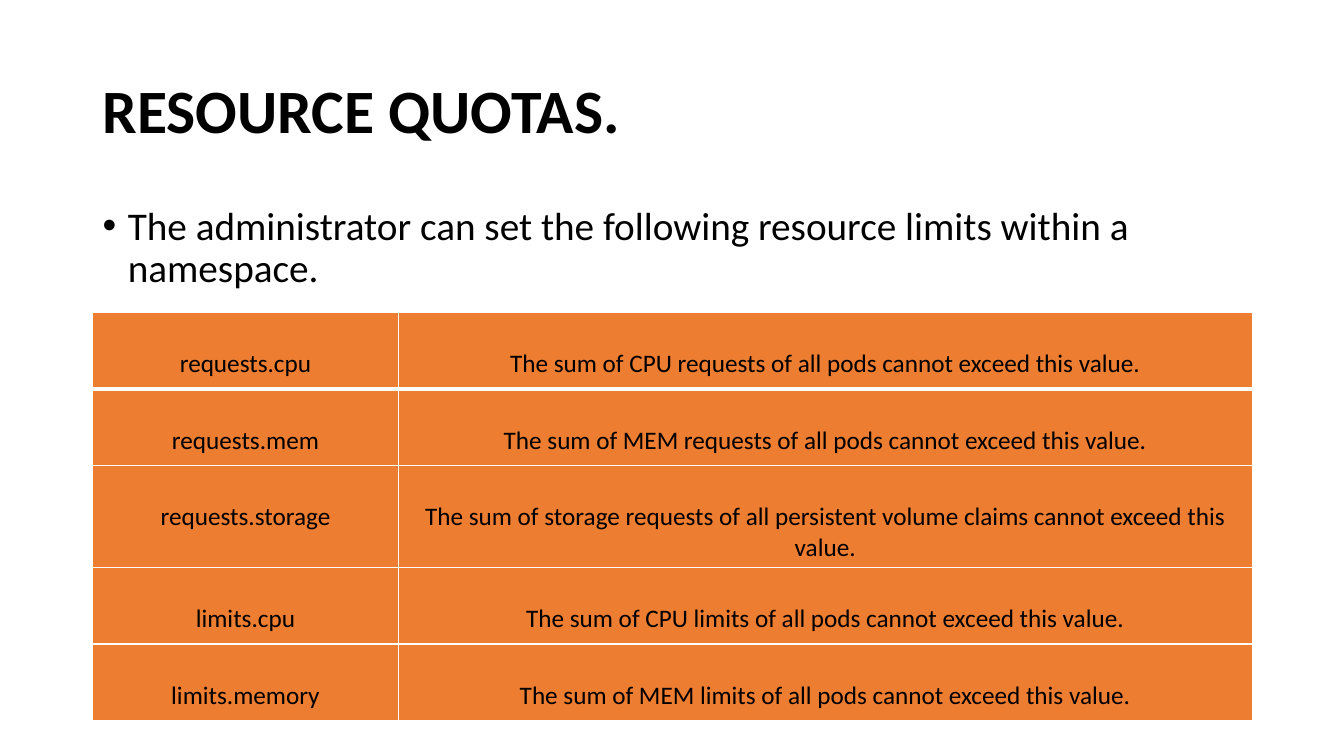
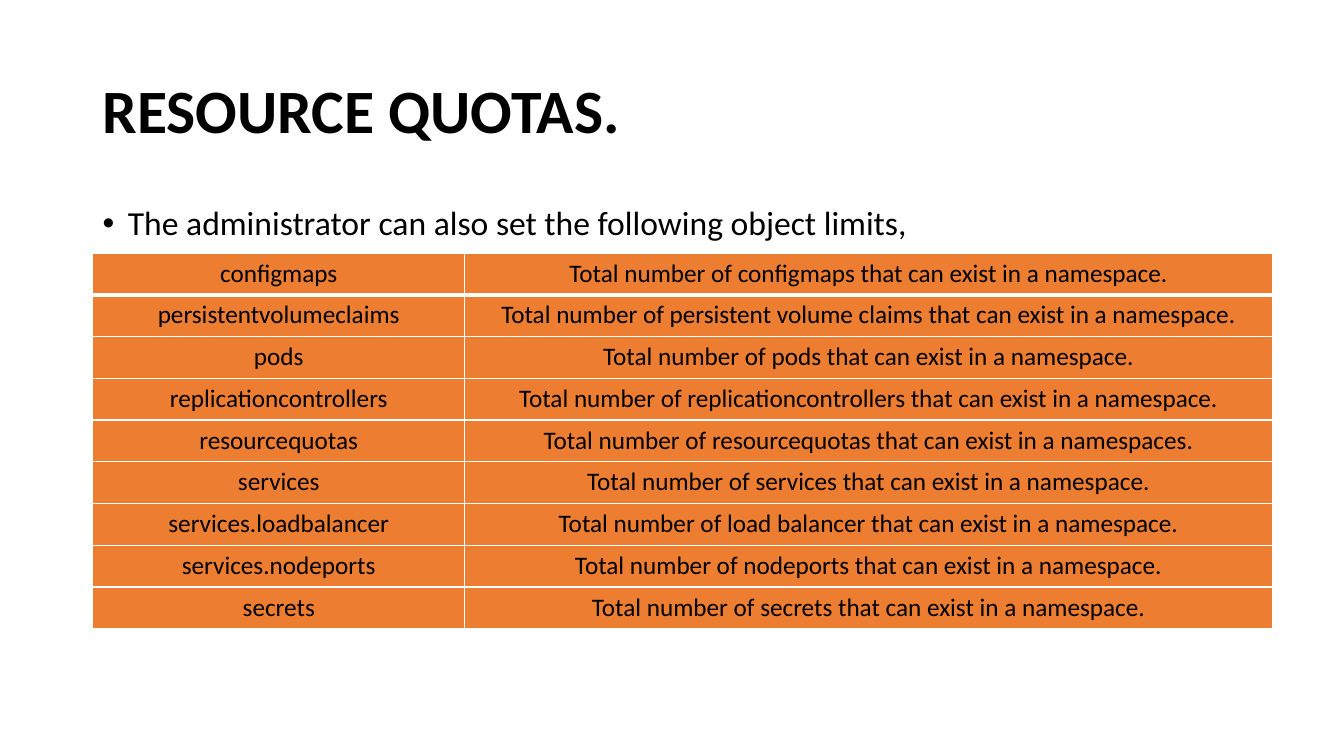
from lxml import etree
from pptx import Presentation, util as u
from pptx.dml.color import RGBColor
from pptx.enum import text
from pptx.oxml.ns import qn

BLACK = RGBColor(0x00, 0x00, 0x00)
WHITE = RGBColor(0xFF, 0xFF, 0xFF)
ORANGE = RGBColor(0xED, 0x7D, 0x31)
FONT = "Calibri"

TITLE = "RESOURCE QUOTAS."
LEFT, WIDTH = 0.92, 11.5
TITLE_TOP, TITLE_HEIGHT = 0.4, 1.45
BODY_TOP, BODY_HEIGHT = 2, 4.76
CELL_MARGIN = 0.05
THIN, THICK = 1, 3

SLIDES = [
    {
        "lead": "The administrator can set the following resource limits within a namespace.",
        "lead_size": 28,
        "top": 3.1, "height": 3.8, "columns": (3.03, 8.47), "margin_top": 0.36,
        "rows": [
            ("requests.cpu", "The sum of CPU requests of all pods cannot exceed this value."),
            ("requests.mem", "The sum of MEM requests of all pods cannot exceed this value."),
            ("requests.storage", "The sum of storage requests of all persistent volume claims "
                                 "cannot exceed this value."),
            ("limits.cpu", "The sum of CPU limits of all pods cannot exceed this value."),
            ("limits.memory", "The sum of MEM limits of all pods cannot exceed this value."),
        ],
    },
    {
        "lead": "The administrator can also set the following object limits,",
        "lead_size": 24,
        "top": 2.51, "height": 3.73, "columns": (3.69, 8.01), "margin_top": CELL_MARGIN,
        "rows": [
            ("configmaps", "Total number of configmaps that can exist in a namespace."),
            ("persistentvolumeclaims",
             "Total number of persistent volume claims that can exist in a namespace."),
            ("pods", "Total number of pods that can exist in a namespace."),
            ("replicationcontrollers",
             "Total number of replicationcontrollers that can exist in a namespace."),
            ("resourcequotas", "Total number of resourcequotas that can exist in a namespaces."),
            ("services", "Total number of services that can exist in a namespace."),
            ("services.loadbalancer",
             "Total number of load balancer that can exist in a namespace."),
            ("services.nodeports", "Total number of nodeports that can exist in a namespace."),
            ("secrets", "Total number of secrets that can exist in a namespace."),
        ],
    },
]


def write(text_frame, words, size, bold=False):
    text_frame.text = words
    paragraph = text_frame.paragraphs[0]
    font = paragraph.runs[0].font
    font.name, font.size, font.bold = FONT, u.Pt(size), bold
    font.color.rgb = BLACK
    return paragraph


def add_text(slide, top, height, words, size, bold=False, anchor=text.MSO_ANCHOR.TOP):
    box = slide.shapes.add_textbox(*map(u.Inches, (LEFT, top, WIDTH, height)))
    box.text_frame.word_wrap = True
    box.text_frame.vertical_anchor = anchor
    paragraph = write(box.text_frame, words, size, bold)
    paragraph.line_spacing = 0.9
    return paragraph


def add_bullet(paragraph):
    paragraph.space_before = u.Pt(10)
    properties = paragraph._p.get_or_add_pPr()
    properties.set("marL", str(u.Inches(0.25)))
    properties.set("indent", str(u.Inches(-0.25)))
    etree.SubElement(properties, qn("a:buFont"), typeface="Arial")
    etree.SubElement(properties, qn("a:buChar"), char="•")


def set_borders(cell, top, bottom):
    properties = cell._tc.get_or_add_tcPr()
    for side, width in (("L", THIN), ("R", THIN), ("T", top), ("B", bottom)):
        line = etree.SubElement(properties, qn("a:ln" + side), w=str(u.Pt(width)))
        fill = etree.SubElement(line, qn("a:solidFill"))
        etree.SubElement(fill, qn("a:srgbClr"), val=str(WHITE))


def add_limits_table(slide, content):
    rows, columns = content["rows"], content["columns"]
    frame = slide.shapes.add_table(
        len(rows), len(columns),
        *map(u.Inches, (LEFT, content["top"], sum(columns), content["height"])))
    table = frame.table
    table.horz_banding = False
    for column, width in zip(table.columns, columns):
        column.width = u.Inches(width)
    for row_index, row in enumerate(rows):
        for column_index, words in enumerate(row):
            cell = table.cell(row_index, column_index)
            set_borders(cell,
                        top=THICK if row_index == 1 else THIN,
                        bottom=THICK if row_index == 0 else THIN)
            cell.fill.solid()
            cell.fill.fore_color.rgb = ORANGE
            cell.margin_top = u.Inches(content["margin_top"])
            cell.margin_bottom = u.Inches(CELL_MARGIN)
            write(cell.text_frame, words, 18).alignment = text.PP_ALIGN.CENTER


def main():
    presentation = Presentation()
    presentation.slide_width = u.Inches(13.33)
    presentation.slide_height = u.Inches(7.5)
    for content in SLIDES:
        slide = presentation.slides.add_slide(presentation.slide_layouts[6])
        add_text(slide, TITLE_TOP, TITLE_HEIGHT, TITLE, 44, True, text.MSO_ANCHOR.MIDDLE)
        add_bullet(add_text(slide, BODY_TOP, BODY_HEIGHT, content["lead"], content["lead_size"]))
        add_limits_table(slide, content)
    presentation.save("out.pptx")


if __name__ == "__main__":
    main()
